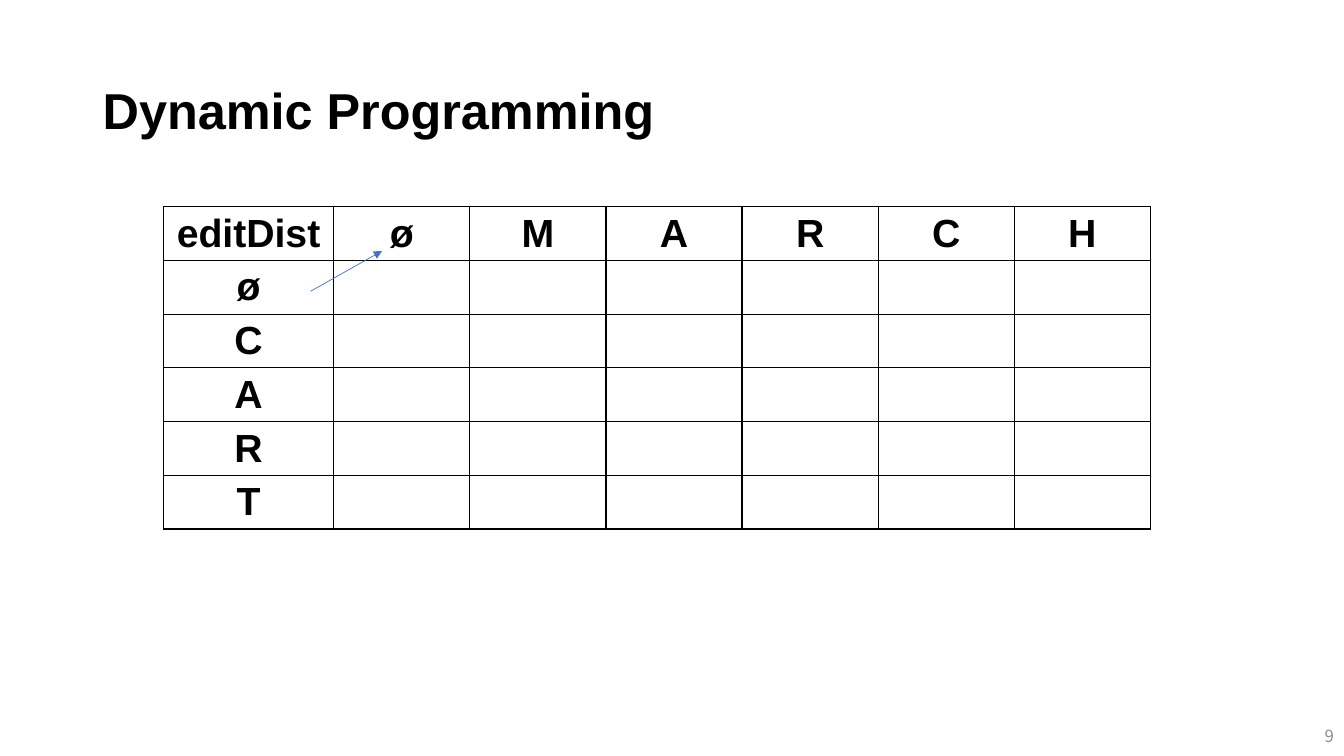
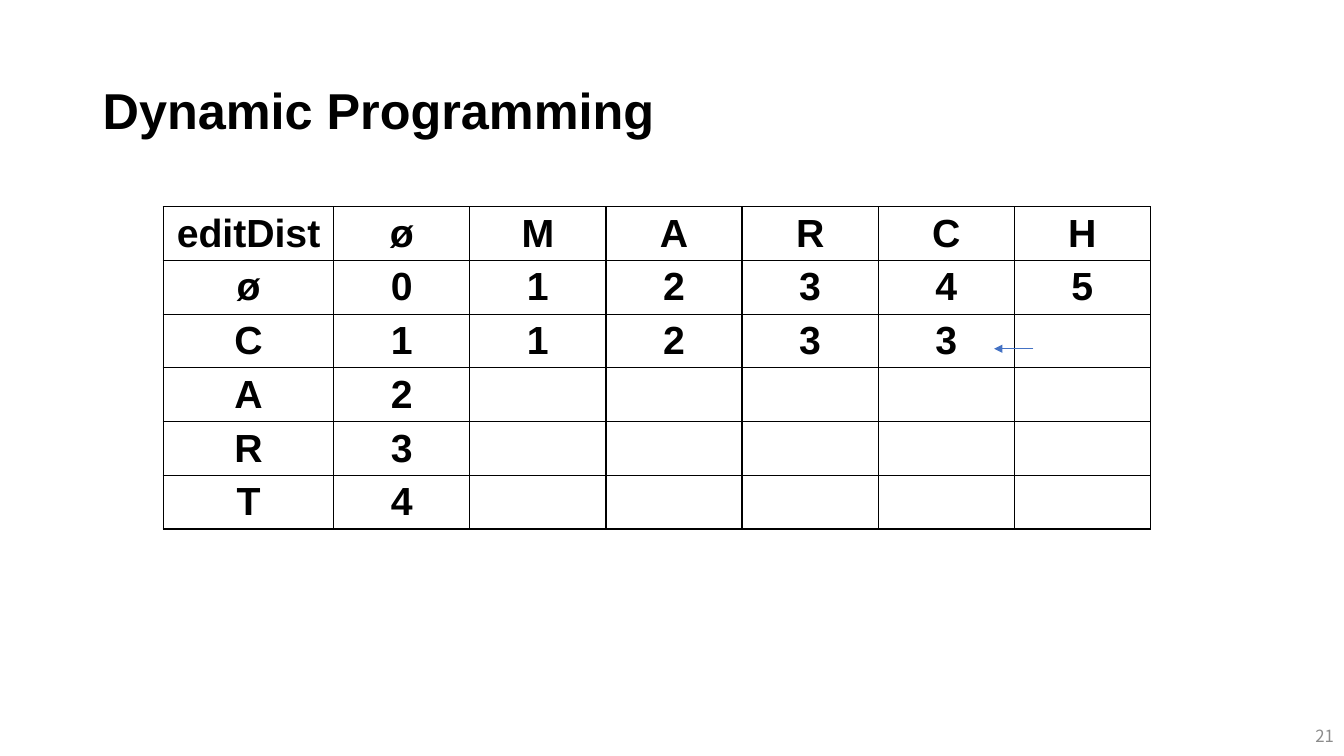
from lxml import etree
from pptx import Presentation
from pptx.dml.color import RGBColor
from pptx.enum import shapes, text
from pptx.oxml import ns
from pptx.util import Inches, Pt

BLACK = RGBColor(0, 0, 0)
GRAY = RGBColor(0x8C, 0x8C, 0x8C)
BLUE = RGBColor(0x44, 0x72, 0xC4)
ALIGN = text.PP_ALIGN
MIDDLE = text.MSO_ANCHOR.MIDDLE

TOP = ["editDist", *"øMARCH"]
SIDE = "øCART"
SLIDES = [
    ("9", ["", "", "", "", ""], (3.08, 2.89, 3.79, 2.49)),
    ("21", ["012345", "11233", "2", "3", "4"], (10.25, 3.46, 9.86, 3.46)),
]


def style(par, size, color, align, face="Arial", bold=True):
    par.alignment = align
    for run in par.runs:
        run.font.size = Pt(size)
        run.font.name = face
        run.font.bold = bold
        run.font.color.rgb = color
        east = etree.SubElement(run.font._element, ns.qn("a:ea"))
        east.set("typeface", face)


def label(slide, box, words):
    frame = slide.shapes.add_textbox(*map(Inches, box)).text_frame
    frame.word_wrap = True
    frame.vertical_anchor = MIDDLE
    frame.text = words
    return frame.paragraphs[0]


deck = Presentation()
deck.slide_width = Inches(13.33)
deck.slide_height = Inches(7.5)

for number, values, ends in SLIDES:
    slide = deck.slides.add_slide(deck.slide_layouts[6])

    title = label(slide, (0.92, 0.4, 11.5, 1.45), "Dynamic Programming")
    title.line_spacing = 0.9
    style(title, 36, BLACK, ALIGN.LEFT)
    page = label(slide, (10.33, 7.1, 3, 0.4), number)
    style(page, 12, GRAY, ALIGN.RIGHT, "Noto Sans CJK KR", False)

    rows = [TOP] + [[head, *line] for head, line in zip(SIDE, values)]
    table = slide.shapes.add_table(
        len(rows), len(TOP), Inches(1.62), Inches(2.05), Inches(9.81), Inches(3.2)
    ).table
    table.first_row = False
    table.horz_banding = False
    for col, column in enumerate(table.columns):
        column.width = Inches(1.35 if col else 1.69)
    for row, line in enumerate(rows):
        table.rows[row].height = Inches(3.2 / len(rows))
        for col in range(len(TOP)):
            cell = table.cell(row, col)
            cell.margin_left = cell.margin_right = Inches(0.07)
            cell.margin_top = cell.margin_bottom = 0
            cell.vertical_anchor = MIDDLE
            cell.fill.background()
            if col < len(line):
                cell.text_frame.text = line[col]
                style(cell.text_frame.paragraphs[0], 28, BLACK, ALIGN.CENTER)
            props = cell._tc.get_or_add_tcPr()
            for place, side in enumerate("LRTB"):
                edge = etree.Element(ns.qn("a:ln" + side), w=str(Pt(1)))
                fill = etree.SubElement(edge, ns.qn("a:solidFill"))
                etree.SubElement(fill, ns.qn("a:srgbClr"), val=str(BLACK))
                props.insert(place, edge)

    arrow = slide.shapes.add_connector(
        shapes.MSO_CONNECTOR.STRAIGHT, *map(Inches, ends)
    )
    arrow.line.color.rgb = BLUE
    arrow.line.width = Pt(0.5)
    etree.SubElement(arrow.line._get_or_add_ln(), ns.qn("a:tailEnd"), type="triangle")
    etree.SubElement(arrow._element.spPr, ns.qn("a:effectLst"))

deck.save("out.pptx")
